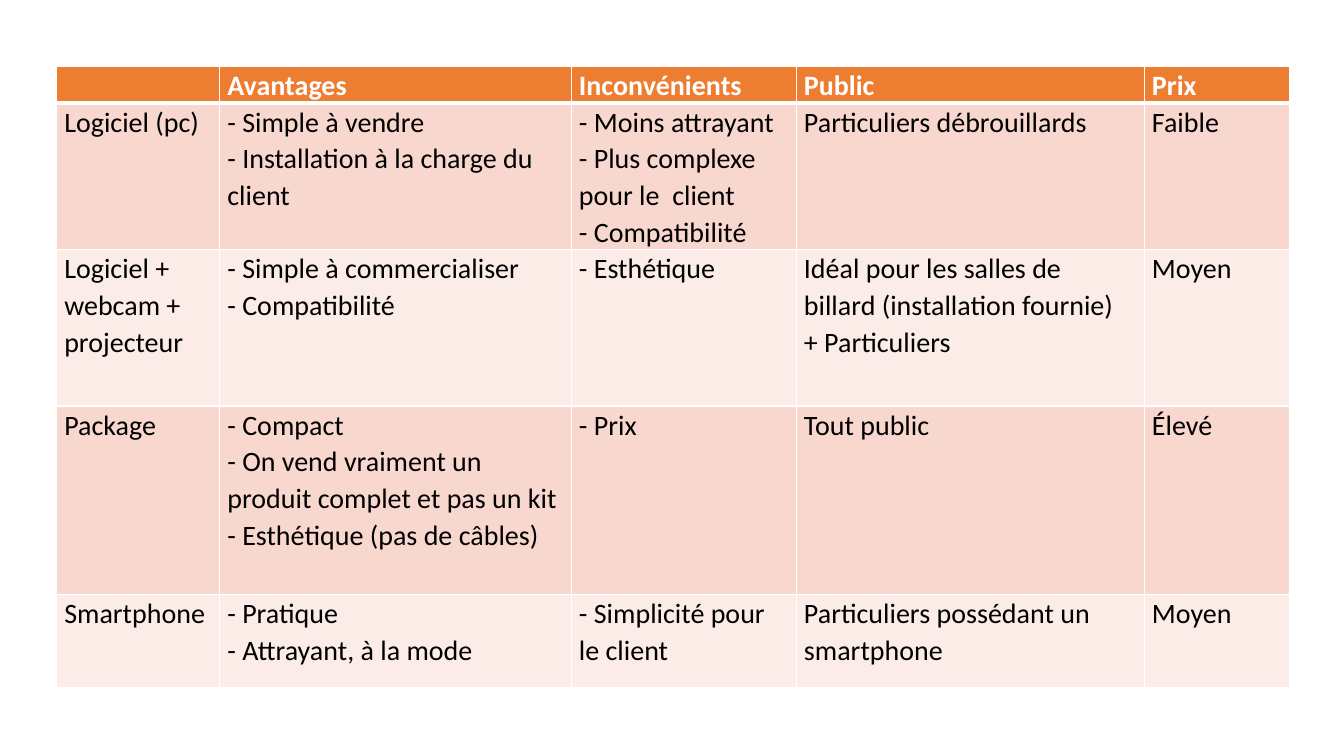
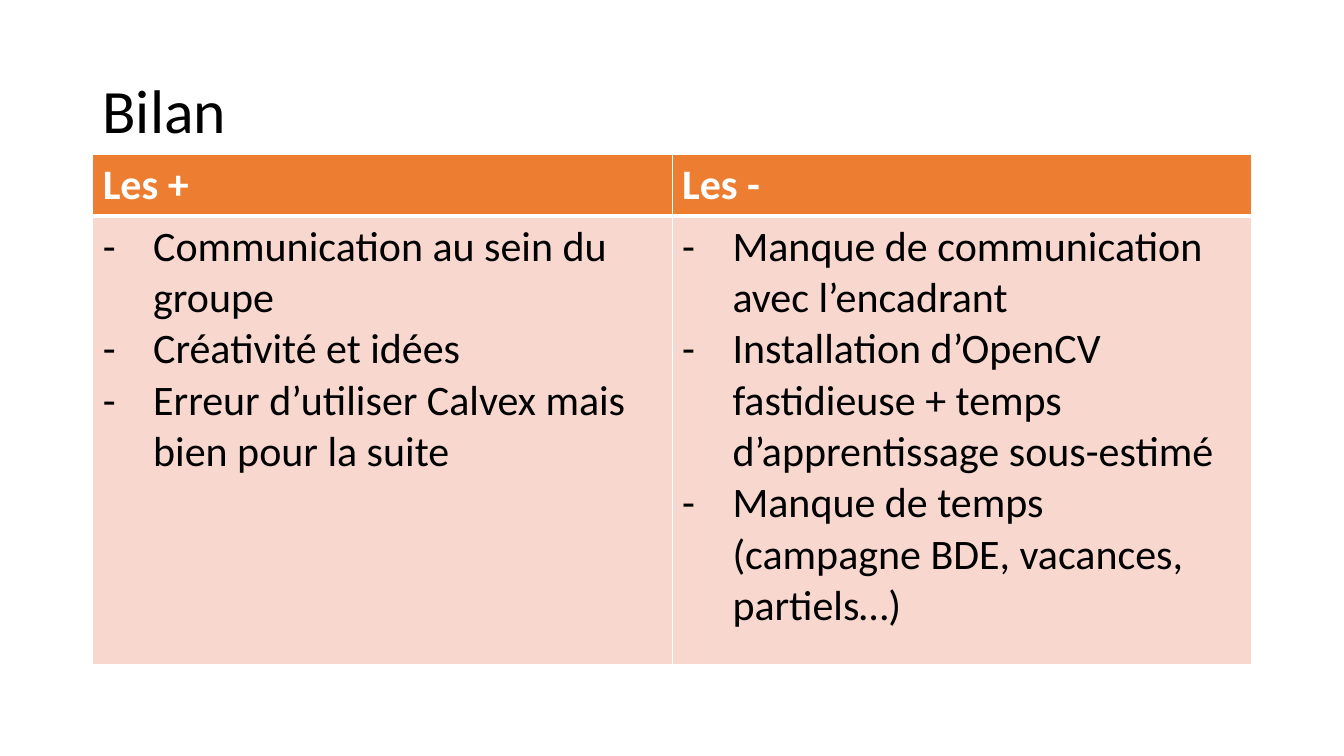
from dataclasses import dataclass

import pptx
import pptx.dml.color
import pptx.enum.text
import pptx.oxml
import pptx.oxml.ns
import pptx.slide
import pptx.table
import pptx.text.text
import pptx.util

Cm = pptx.util.Cm
Pt = pptx.util.Pt
RGBColor = pptx.dml.color.RGBColor

# Shared look
FONT = "Calibri"
BLACK = RGBColor(0x00, 0x00, 0x00)
WHITE = RGBColor(0xFF, 0xFF, 0xFF)
ORANGE = RGBColor(0xED, 0x7D, 0x31)
BANDS = (RGBColor(0xF8, 0xD7, 0xCE), RGBColor(0xFC, 0xEC, 0xE8))
THIN, THICK = 1, 3
HANG = Cm(1.27)


@dataclass(frozen=True)
class Grid:
    """A table; lengths in centimetres, lines of a cell split by newlines."""
    left: float
    top: float
    cols: tuple[float, ...]
    rows: tuple[float, ...]
    cells: tuple[tuple[str, ...], ...]
    size: float
    pad: tuple[float, float] = (0.25, 0.13)
    space: float = 1.0
    dash: bool = False


OFFERS = Grid(
    left=1.43, top=1.67,
    cols=(4.11, 8.86, 5.67, 8.77, 3.66),
    rows=(0.84, 3.66, 3.94, 4.75, 2.34),
    size=20, pad=(0.19, 0), space=1.07,
    cells=(
        ("", "Avantages", "Inconvénients", "Public", "Prix"),
        ("Logiciel (pc)",
         "- Simple à vendre\n- Installation à la charge du client",
         "- Moins attrayant\n- Plus complexe pour le  client\n- Compatibilité",
         "Particuliers débrouillards", "Faible"),
        ("Logiciel + webcam + projecteur",
         "- Simple à commercialiser\n- Compatibilité",
         "- Esthétique",
         "Idéal pour les salles de billard (installation fournie)\n"
         "+ Particuliers", "Moyen"),
        ("Package",
         "- Compact\n- On vend vraiment un produit complet et pas un kit\n"
         "- Esthétique (pas de câbles)",
         "- Prix", "Tout public", "Élevé"),
        ("Smartphone",
         "- Pratique\n- Attrayant, à la mode",
         "- Simplicité pour le client",
         "Particuliers possédant un smartphone", "Moyen"),
    ),
)

REVIEW = Grid(
    left=2.34, top=3.89, cols=(14.6, 14.6), rows=(1.56, 11.3),
    size=30, dash=True,
    cells=(
        ("Les +", "Les -"),
        ("Communication au sein du groupe\nCréativité et idées\n"
         "Erreur d’utiliser Calvex mais bien pour la suite",
         "Manque de communication avec l’encadrant\n"
         "Installation d’OpenCV fastidieuse + temps d’apprentissage "
         "sous-estimé\n"
         "Manque de temps (campagne BDE, vacances, partiels…)"),
    ),
)


def write(frame: pptx.text.text.TextFrame, text: str, *, size: float,
          color: RGBColor = BLACK, bold: bool = False, space: float = 1.0,
          dash: bool = False) -> None:
    """Fill a frame with one paragraph per line of text."""
    frame.word_wrap = True
    for num, line in enumerate(text.split("\n")):
        para = frame.add_paragraph() if num else frame.paragraphs[0]
        para.alignment = pptx.enum.text.PP_ALIGN.LEFT
        para.line_spacing = space
        if dash:
            props = para._p.get_or_add_pPr()
            props.set("marL", str(HANG))
            props.set("indent", str(-HANG))
            for tag, attrs in (("a:buFont", {"typeface": FONT}),
                               ("a:buChar", {"char": "-"})):
                mark = pptx.oxml.ns.qn(tag)
                props.append(props.makeelement(mark, attrs))
        run = para.add_run()
        run.text = line
        font = run.font
        font.name, font.size, font.bold = FONT, Pt(size), bold
        font.color.rgb = color


def border(cell: pptx.table._Cell, top: float, base: float) -> None:
    """Draw white cell edges; the schema puts them ahead of the fill."""
    props = cell._tc.get_or_add_tcPr()
    space = pptx.oxml.ns.nsdecls("a")
    edges = (("L", THIN), ("R", THIN), ("T", top), ("B", base))
    for num, (side, width) in enumerate(edges):
        props.insert(num, pptx.oxml.parse_xml(
            f'<a:ln{side} {space} w="{Pt(width)}"><a:solidFill>'
            f'<a:srgbClr val="{WHITE}"/></a:solidFill></a:ln{side}>'))


def draw(slide: pptx.slide.Slide, grid: Grid) -> None:
    """Draw a table with an orange head and banded rows."""
    table = slide.shapes.add_table(
        len(grid.rows), len(grid.cols), Cm(grid.left), Cm(grid.top),
        Cm(sum(grid.cols)), Cm(sum(grid.rows))).table
    for col, width in zip(table.columns, grid.cols):
        col.width = Cm(width)
    for row, height in zip(table.rows, grid.rows):
        row.height = Cm(height)

    for num, texts in enumerate(grid.cells):
        head = num == 0
        for col, text in enumerate(texts):
            cell = table.cell(num, col)
            side, edge = grid.pad
            cell.margin_left = cell.margin_right = Cm(side)
            cell.margin_top = cell.margin_bottom = Cm(edge)
            cell.fill.solid()
            cell.fill.fore_color.rgb = ORANGE if head else BANDS[(num - 1) % 2]
            border(cell, THICK if num == 1 else THIN, THICK if head else THIN)
            if text:
                write(cell.text_frame, text, size=grid.size,
                      color=WHITE if head else BLACK, bold=head,
                      space=grid.space, dash=grid.dash and not head)


def name(slide: pptx.slide.Slide, text: str) -> None:
    """Place and format the slide title."""
    title = slide.shapes.title
    title.left, title.top = Cm(2.33), Cm(1.01)
    title.width, title.height = Cm(29.2), Cm(3.68)
    frame = title.text_frame
    frame.auto_size = pptx.enum.text.MSO_AUTO_SIZE.NONE
    frame.vertical_anchor = pptx.enum.text.MSO_ANCHOR.MIDDLE
    write(frame, text, size=44, space=0.9)


def main() -> None:
    deck = pptx.Presentation()
    deck.slide_width, deck.slide_height = Cm(33.87), Cm(19.05)
    plain = deck.slide_layouts.get_by_name("Blank")
    titled = deck.slide_layouts.get_by_name("Title Only")

    # Comparison of the offers
    draw(deck.slides.add_slide(plain), OFFERS)

    # Review of the project
    slide = deck.slides.add_slide(titled)
    name(slide, "Bilan")
    draw(slide, REVIEW)

    deck.save("out.pptx")


if __name__ == "__main__":
    main()
